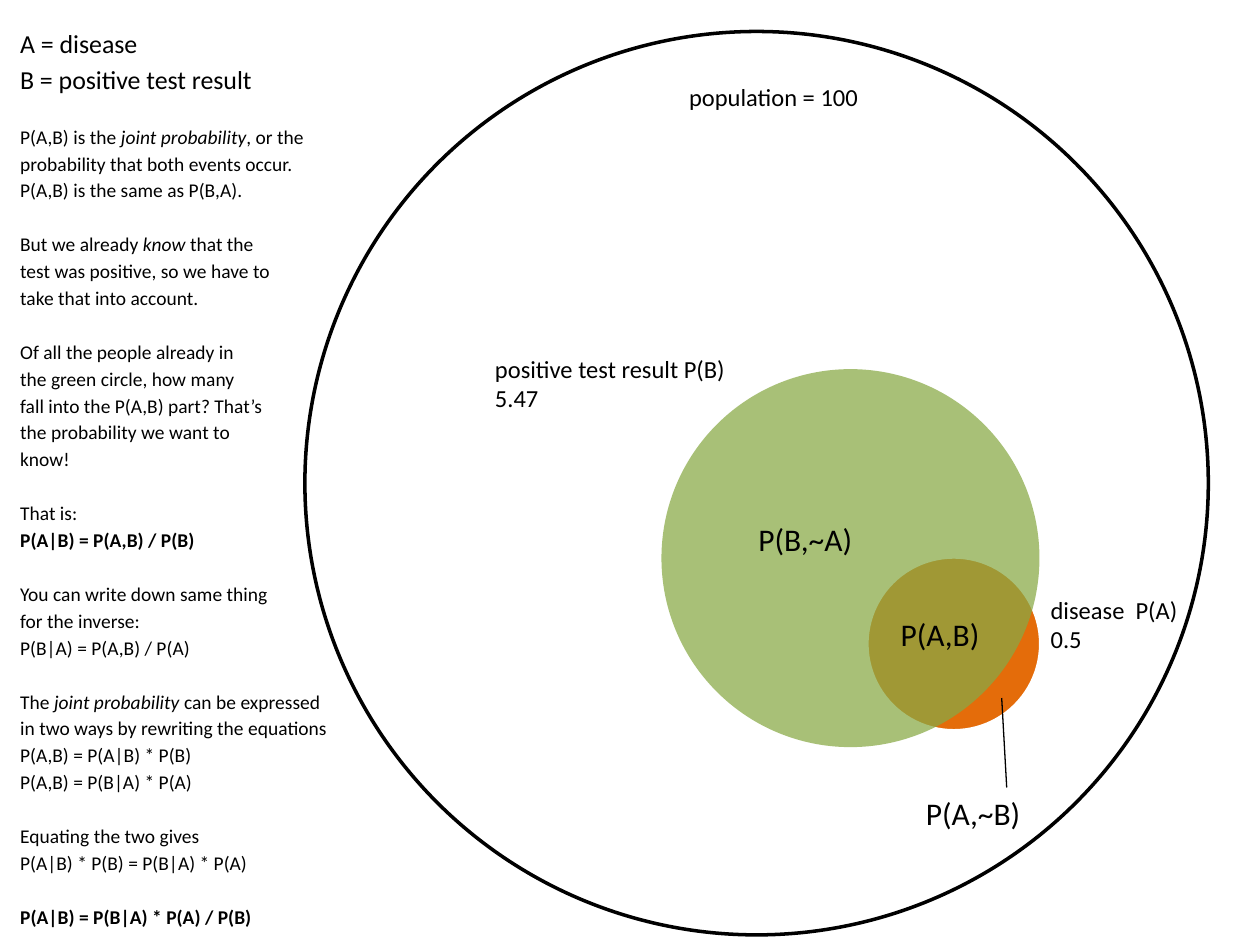
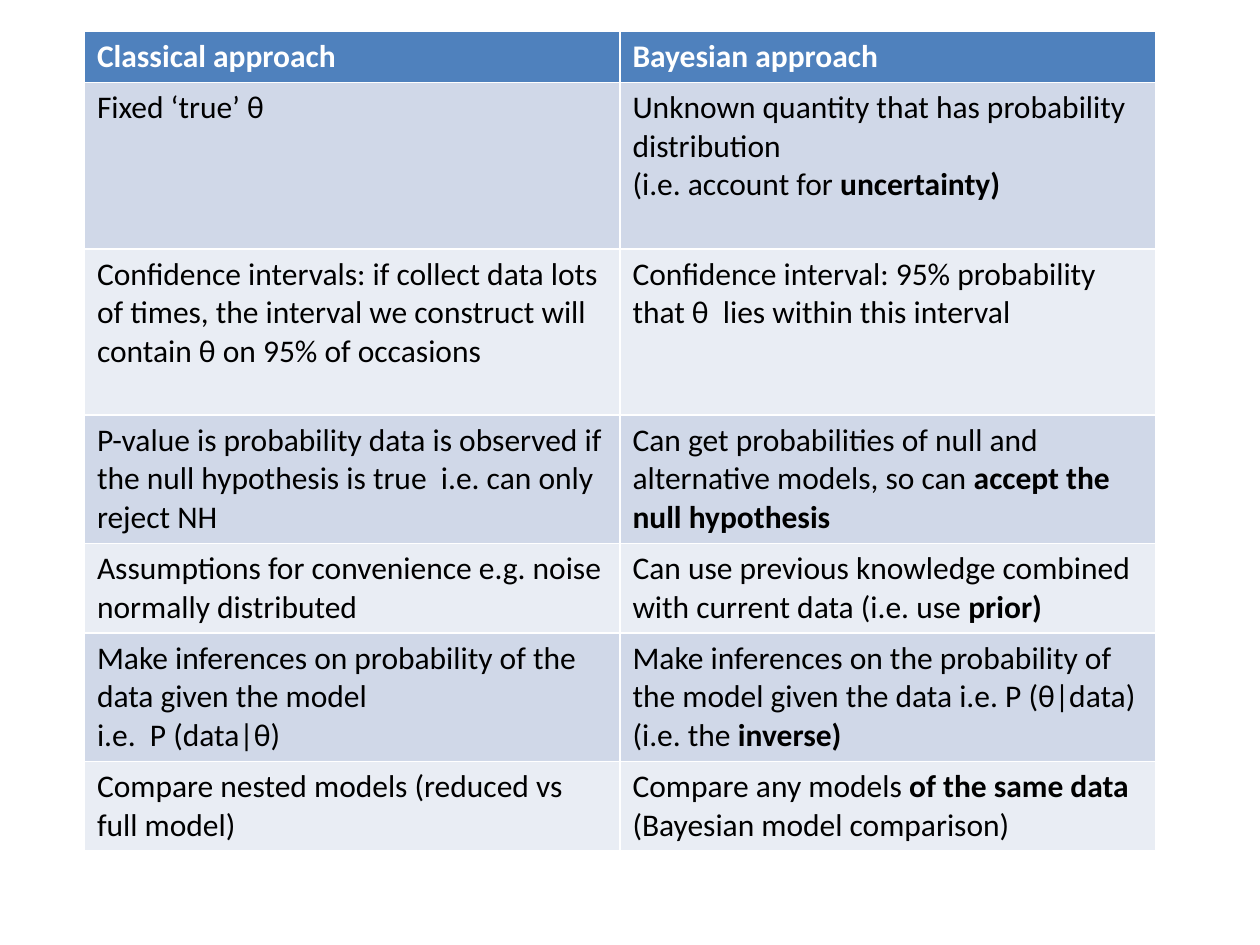
from dataclasses import dataclass

from lxml import etree
from pptx import Presentation
from pptx.dml.color import RGBColor
from pptx.enum.shapes import MSO_CONNECTOR, MSO_SHAPE
from pptx.enum.text import MSO_ANCHOR, MSO_AUTO_SIZE
from pptx.oxml.ns import qn
from pptx.util import Inches, Pt

OVAL = MSO_SHAPE.OVAL
STRAIGHT = MSO_CONNECTOR.STRAIGHT
TOP = MSO_ANCHOR.TOP
NO_FIT = MSO_AUTO_SIZE.NONE
FONT = "Calibri"
COLOURS = {
    "ink": "000000",
    "paper": "FFFFFF",
    "disease": "E46C0A",
    "positive": "88A945",
    "header": "4F81BD",
    "odd_row": "D0D8E8",
    "even_row": "E9EDF4",
}
CONTENT_LAYOUT, BLANK_LAYOUT = 1, 6

presentation = Presentation()
presentation.slide_width, presentation.slide_height = Inches(10), Inches(7.5)
# The slide is a grid of 10 columns by 7.5 rows of square cells
CELL = presentation.slide_width / 10


@dataclass(frozen=True)
class Circle:
    left: float
    top: float
    diameter: float
    fill: str | None = None
    line: str | None = None
    opacity: int = 100


@dataclass(frozen=True)
class Label:
    left: float
    top: float
    width: float
    height: float
    lines: tuple[str, ...]
    size: float = 14
    wrap: bool = True


@dataclass(frozen=True)
class Block:
    lines: tuple[str, ...]
    size: float = 11.1
    line_gap: float = 2
    block_gap: float = 17.5


def grid(*cells: float) -> list[int]:
    return [round(cell * CELL) for cell in cells]


def colour(name: str) -> RGBColor:
    return RGBColor.from_string(COLOURS[name])


def write(frame, lines, *, size, ink="ink", bold=False, line_gap=0, block_gap=0):
    """Append lines as paragraphs; #marks# give bold and _marks_ give italic."""
    paragraphs = []
    for index, line in enumerate(lines):
        first = frame.paragraphs[0]
        paragraph = frame.add_paragraph() if first.runs else first
        paragraph.space_before = Pt(line_gap if index else block_gap)
        for bold_index, part in enumerate(line.split("#")):
            for italic_index, text in enumerate(part.split("_")):
                if not text:
                    continue
                run = paragraph.add_run()
                run.text = text
                run.font.name, run.font.size = FONT, Pt(size)
                run.font.bold = bold or bold_index % 2 == 1
                run.font.italic = italic_index % 2 == 1
                run.font.color.rgb = colour(ink)
        paragraphs.append(paragraph)
    return paragraphs


def draw_circle(slide, circle: Circle) -> None:
    place = grid(circle.left, circle.top, circle.diameter, circle.diameter)
    shape = slide.shapes.add_shape(OVAL, *place)
    shape.shadow.inherit = False
    if circle.fill:
        shape.fill.solid()
        shape.fill.fore_color.rgb = colour(circle.fill)
    else:
        shape.fill.background()
    if circle.line:
        shape.line.color.rgb = colour(circle.line)
        shape.line.width = Pt(2)
    else:
        shape.line.fill.background()
    if circle.opacity < 100:
        tint = shape.fill._xPr.find(f".//{qn('a:srgbClr')}")
        etree.SubElement(tint, qn("a:alpha"), val=str(circle.opacity * 1000))


def draw_label(slide, label: Label) -> None:
    place = grid(label.left, label.top, label.width, label.height)
    frame = slide.shapes.add_textbox(*place).text_frame
    frame.word_wrap = label.wrap
    write(frame, label.lines, size=label.size)


def draw_pointer(slide, start: tuple[float, float], end: tuple[float, float]) -> None:
    pointer = slide.shapes.add_connector(STRAIGHT, *grid(*start, *end))
    pointer.line.color.rgb = colour("ink")
    pointer.line.width = Pt(0.75)
    etree.SubElement(pointer._element.spPr, qn("a:effectLst"))


def draw_explanation(slide, blocks: tuple[Block, ...]) -> None:
    title = slide.shapes.title._element
    title.getparent().remove(title)
    body = slide.placeholders[1]
    body.left, body.top, body.width, body.height = grid(0, 0.17, 9.33, 7.33)
    frame = body.text_frame
    frame.auto_size, frame.vertical_anchor = NO_FIT, TOP
    for index, block in enumerate(blocks):
        for paragraph in write(frame, block.lines, size=block.size,
                               line_gap=block.line_gap,
                               block_gap=block.block_gap if index else 0):
            properties = paragraph._p.get_or_add_pPr()
            properties.set("marL", str(Inches(0.06)))
            properties.set("indent", "0")
            etree.SubElement(properties, qn("a:buNone"))


def draw_table(slide, rows, heights: tuple[float, ...]) -> None:
    place = grid(0.67, 0.25, 8.5, sum(heights))
    table = slide.shapes.add_table(len(rows), len(rows[0]), *place).table
    for row, height in zip(table.rows, heights):
        row.height = grid(height)[0]
    for row_index, texts in enumerate(rows):
        header = row_index == 0
        band = "header" if header else "odd_row" if row_index % 2 else "even_row"
        for column_index, text in enumerate(texts):
            cell = table.cell(row_index, column_index)
            cell.fill.solid()
            cell.fill.fore_color.rgb = colour(band)
            write(cell.text_frame, text.split("\n"), size=18, bold=header,
                  ink="paper" if header else "ink")


# Slide 1: joint and conditional probability
EXPLANATION = (
    Block(("A = disease", "B = positive test result"), size=14.8, line_gap=2.5),
    Block(("P(A,B) is the _joint probability_, or the",
           "probability that both events occur.",
           "P(A,B) is the same as P(B,A).")),
    Block(("But we already _know_ that the",
           "test was positive, so we have to",
           "take that into account.")),
    Block(("Of all the people already in",
           "the green circle, how many",
           "fall into the P(A,B) part? That’s",
           "the probability we want to",
           "know!")),
    Block(("That is:", "#P(A|B) = P(A,B) / P(B)#")),
    Block(("You can write down same thing",
           "for the inverse:",
           "P(B|A) = P(A,B) / P(A)")),
    Block(("The _joint probability_ can be expressed",
           "in two ways by rewriting the equations",
           "P(A,B) = P(A|B) * P(B)",
           "P(A,B) = P(B|A) * P(A)")),
    Block(("Equating the two gives", "P(A|B) * P(B) = P(B|A) * P(A)")),
    Block(("#P(A|B) = P(B|A) * P(A) / P(B)#",)),
)
CIRCLES = (
    Circle(6.88, 4.42, 1.38, fill="disease", line="paper"),
    Circle(5.25, 2.93, 3, fill="positive", opacity=73),
    Circle(2.42, 0.25, 7.17, line="ink"),
)
LABELS = (
    Label(7.05, 4.83, 0.91, 0.4, ("P(A,B)",), size=18),
    Label(5.92, 4.08, 0.96, 0.4, ("P(B,~A)",), size=18, wrap=False),
    Label(7.25, 6.25, 1.08, 0.4, ("P(A,~B)",), size=18),
    Label(5.37, 0.6, 1.71, 0.34, ("population = 100",)),
    Label(3.83, 2.76, 2.08, 0.57, ("positive test result P(B)", "5.47")),
    Label(8.24, 4.67, 1.33, 0.57, ("disease  P(A)", "0.5")),
)
venn_slide = presentation.slides.add_slide(presentation.slide_layouts[CONTENT_LAYOUT])
draw_explanation(venn_slide, EXPLANATION)
for circle in CIRCLES:
    draw_circle(venn_slide, circle)
for label in LABELS:
    draw_label(venn_slide, label)
draw_pointer(venn_slide, (7.99, 6.25), (7.95, 5.54))

# Slide 2: the two approaches side by side
COMPARISON = (
    ("Classical approach", "Bayesian approach"),
    ("Fixed ‘true’ θ",
     "Unknown quantity that has probability distribution\n"
     "(i.e. account for #uncertainty)#"),
    ("Confidence intervals: if collect data lots of times, the interval we "
     "construct will contain θ on 95% of occasions",
     "Confidence interval: 95% probability that θ  lies within this interval"),
    ("P-value is probability data is observed if the null hypothesis is true  "
     "i.e. can only reject NH",
     "Can get probabilities of null and alternative models, so can "
     "#accept the null hypothesis#"),
    ("Assumptions for convenience e.g. noise normally distributed",
     "Can use previous knowledge combined with current data (i.e. use #prior)#"),
    ("Make inferences on probability of the data given the model\n"
     "i.e.  P (data|θ)",
     "Make inferences on the probability of the model given the data "
     "i.e. P (θ|data) (i.e. the #inverse)#"),
    ("Compare nested models (reduced vs full model)",
     "Compare any models #of the same data #(Bayesian model comparison)"),
)
ROW_HEIGHTS = (0.4, 1.32, 1.32, 1.02, 0.71, 1.02, 0.71)
table_slide = presentation.slides.add_slide(presentation.slide_layouts[BLANK_LAYOUT])
draw_table(table_slide, COMPARISON, ROW_HEIGHTS)

presentation.save("out.pptx")
